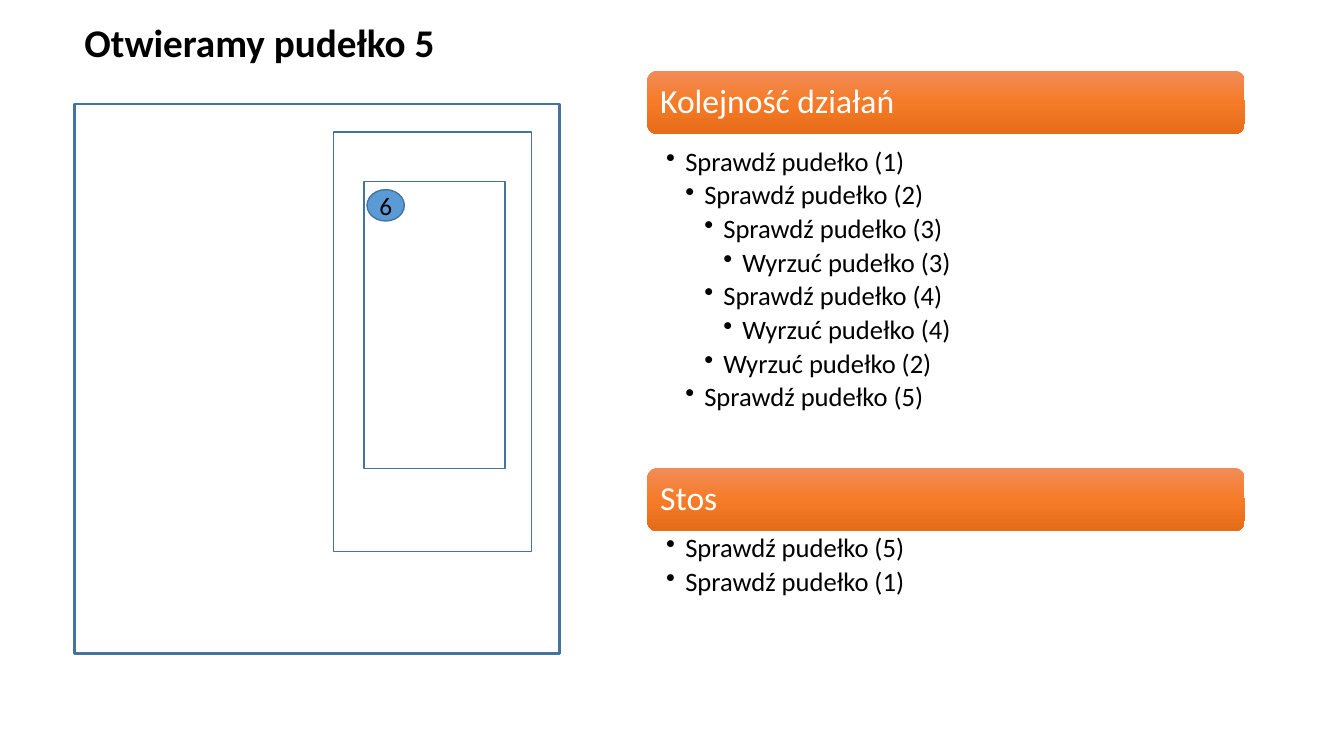
from copy import deepcopy

from pptx import Presentation
from pptx.dml.color import RGBColor
from pptx.enum.shapes import MSO_SHAPE as Shape
from pptx.enum.text import MSO_ANCHOR as Anchor, PP_ALIGN as Align
from pptx.oxml.ns import qn
from pptx.oxml.xmlchemy import OxmlElement
from pptx.util import Cm, Pt

BLACK = RGBColor(0x00, 0x00, 0x00)
WHITE = RGBColor(0xFF, 0xFF, 0xFF)
BOX_LINE = RGBColor(0x43, 0x73, 0x9E)
LABEL_BLUE = RGBColor(0x5B, 0x9B, 0xD5)
ORANGES = [RGBColor(0xF1, 0x8C, 0x57), RGBColor(0xF6, 0x7B, 0x28), RGBColor(0xE5, 0x6C, 0x19)]
FONT = "Calibri"
INDENT = 0.48  # cm per list level

# Nested boxes: left, top, width, height in cm from the outer box, line in points
BOXES = [
    (0, 0, 12.22, 13.84, 2),
    (6.53, 0.71, 4.98, 10.57, 1),
    (7.29, 1.95, 3.56, 7.24, 1),
]
LABEL = (7.37, 2.16, 0.94, 0.79)

# List entries: level, text
ACTIONS = [
    (1, "Sprawdź pudełko (1)"),
    (2, "Sprawdź pudełko (2)"),
    (3, "Sprawdź pudełko (3)"),
    (4, "Wyrzuć pudełko (3)"),
    (3, "Sprawdź pudełko (4)"),
    (4, "Wyrzuć pudełko (4)"),
    (3, "Wyrzuć pudełko (2)"),
    (2, "Sprawdź pudełko (5)"),
]
STACK = [(1, "Sprawdź pudełko (5)"), (1, "Sprawdź pudełko (1)")]


def style(paragraph, size, color, bold=False):
    font = paragraph.font
    font.name, font.size, font.bold = FONT, Pt(size), bold
    font.color.rgb = color


def add_bullet(paragraph, level):
    props = paragraph._p.get_or_add_pPr()
    props.set("marL", str(Cm(INDENT * level)))
    props.set("indent", str(Cm(-INDENT)))
    bullet = OxmlElement("a:buChar")
    bullet.set("char", "•")
    props.append(bullet)
    paragraph.level = level


def fill_orange(bar):
    bar.fill.gradient()
    bar.fill.gradient_angle = 270
    stop_list = bar._element.spPr.find(".//" + qn("a:gsLst"))
    stop_list.append(deepcopy(stop_list[0]))
    for i, (stop, color) in enumerate(zip(bar.fill.gradient_stops, ORANGES)):
        stop.position = i / 2
        stop.color.rgb = color


def add_title(slide, left, top, width, height):
    title = slide.shapes.add_textbox(Cm(left), Cm(top), Cm(width), Cm(height))
    title.text_frame.word_wrap = True
    title.text_frame.text = "Otwieramy pudełko 5"
    style(title.text_frame.paragraphs[0], 28, BLACK, bold=True)


def add_outline(slide, kind, left, top, width, height, line):
    outline = slide.shapes.add_shape(kind, Cm(left), Cm(top), Cm(width), Cm(height))
    outline.shadow.inherit = False
    outline.fill.background()
    outline.line.color.rgb = BOX_LINE
    outline.line.width = Pt(line)
    return outline


def add_boxes(slide, left, top):
    for x, y, width, height, line in BOXES:
        add_outline(slide, Shape.RECTANGLE, left + x, top + y, width, height, line)

    # Numbered label of the innermost box
    x, y, width, height = LABEL
    label = add_outline(slide, Shape.OVAL, left + x, top + y, width, height, 1)
    label.fill.solid()
    label.fill.fore_color.rgb = LABEL_BLUE
    frame = label.text_frame
    frame.margin_left = frame.margin_right = frame.margin_top = frame.margin_bottom = 0
    frame.word_wrap = False
    frame.vertical_anchor = Anchor.MIDDLE
    frame.text = "6"
    frame.paragraphs[0].alignment = Align.CENTER
    style(frame.paragraphs[0], 18, BLACK)


def add_section(slide, left, top, width, height, heading, entries, gap=0):
    # Heading bar
    bar_height = 1.6
    bar = slide.shapes.add_shape(
        Shape.ROUNDED_RECTANGLE, Cm(left), Cm(top), Cm(width), Cm(bar_height))
    bar.shadow.inherit = False
    bar.line.fill.background()
    fill_orange(bar)
    bar.text_frame.vertical_anchor = Anchor.MIDDLE
    bar.text_frame.text = heading
    caption = bar.text_frame.paragraphs[0]
    caption.alignment = Align.LEFT
    caption.line_spacing = 0.9
    style(caption, 24, WHITE)

    # Bulleted list below the bar
    offset = bar_height + gap
    steps = slide.shapes.add_textbox(
        Cm(left), Cm(top + offset), Cm(width), Cm(height - offset))
    frame = steps.text_frame
    frame.word_wrap = True
    frame.margin_left = frame.margin_right = Cm(INDENT)
    frame.margin_top = frame.margin_bottom = Cm(0.08)
    frame.text = "\n".join(text for _, text in entries)
    for paragraph, (level, _) in zip(frame.paragraphs, entries):
        add_bullet(paragraph, level)
        paragraph.line_spacing = 0.9
        paragraph.space_after = Pt(3.5)
        style(paragraph, 19, BLACK)


def main():
    prs = Presentation()
    prs.slide_width, prs.slide_height = Cm(33.87), Cm(19.05)
    slide = prs.slides.add_slide(prs.slide_layouts[6])
    add_section(slide, 16.31, 1.78, 15.06, 10.01, "Kolejność działań", ACTIONS, gap=0.28)
    add_section(slide, 16.31, 11.79, 15.06, 4.37, "Stos", STACK)
    add_title(slide, 1.88, 0.33, 31.98, 1.45)
    add_boxes(slide, 1.88, 2.62)
    prs.save("out.pptx")


if __name__ == "__main__":
    main()
